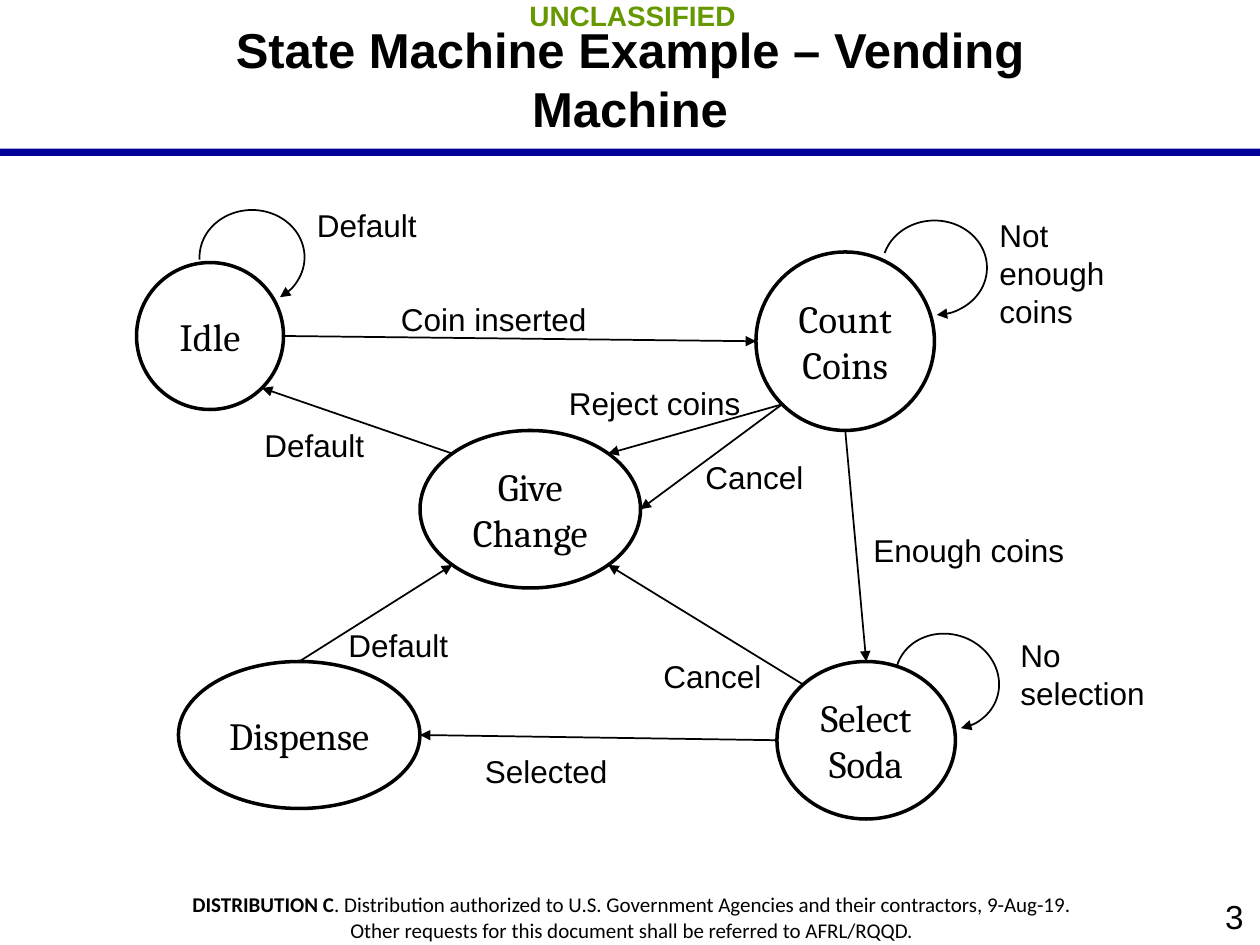
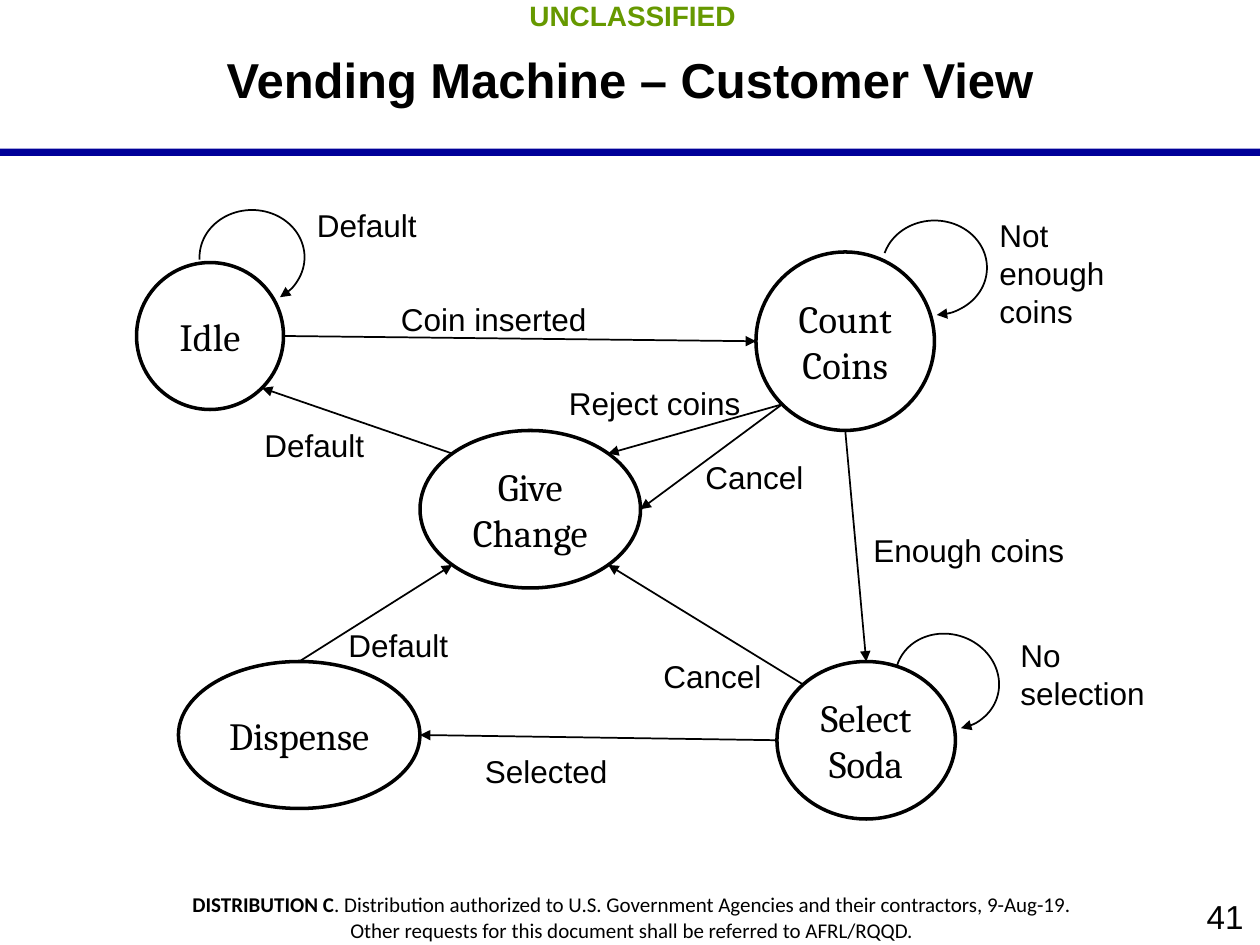
import math

from lxml import etree
from pptx import Presentation
from pptx.dml.color import RGBColor
from pptx.enum.shapes import MSO_CONNECTOR, MSO_SHAPE
from pptx.enum.text import MSO_ANCHOR, PP_ALIGN
from pptx.oxml.ns import qn
from pptx.util import Inches, Pt

LEFT, CENTER, RIGHT = PP_ALIGN.LEFT, PP_ALIGN.CENTER, PP_ALIGN.RIGHT
TOP, MIDDLE = MSO_ANCHOR.TOP, MSO_ANCHOR.MIDDLE
COLORS = {"ink": "000000", "paper": "FFFFFF", "band": "000099", "marking": "669900"}
CELL = Inches(1) // 12  # the slide is a grid of 120 columns by 90 rows

SLIDES = [("State Machine Example – Vending Machine", "3"),
          ("Vending Machine – Customer View", "41")]

FOOTER = [
    [("DISTRIBUTION C", True),
     (". Distribution authorized to U.S. Government Agencies and their contractors, 9-Aug-19.", False)],
    [("Other requests for this document shall be referred to AFRL/RQQD.", False)],
]

# column, row, columns wide, rows high
STATES = {
    "Idle": (13, 25, 14, 14),
    "Count Coins": (72, 24, 17, 17),
    "Give Change": (40, 41, 21, 15),
    "Select Soda": (74, 63, 17, 15),
    "Dispense": (17, 63, 23, 14),
}

# degrees clockwise from the right-hand side of a state's outline
E, SE, S, SW, W, NW, N, NE = range(0, 360, 45)
TRANSITIONS = [
    ("Idle", E, "Count Coins", W),
    ("Count Coins", SW, "Give Change", NE),
    ("Count Coins", SW, "Give Change", E),
    ("Count Coins", S, "Select Soda", N),
    ("Select Soda", W, "Dispense", E),
    ("Dispense", N, "Give Change", SW),
    ("Give Change", NW, "Idle", SE),
    ("Select Soda", NW, "Give Change", SE),
]

# column, row, rotation, start and end of the arc
SELF_LOOPS = [
    (19, 20, 0, 106.42, 33.03),
    (84, 21, 0, 117.85, 52.3),
    (85.2, 60.4, 18.4, 106.42, 33.03),
]

# text, column, row, columns wide, lines
LABELS = [
    ("Coin inserted", 37, 28, 22, 1),
    ("Not enough coins", 94, 20, 16, 3),
    ("No selection", 96, 60, 17, 2),
    ("Reject coins", 53, 36, 19, 1),
    ("Cancel", 62, 62, 12, 1),
    ("Enough coins", 82, 50, 22, 1),
    ("Selected", 45, 71, 22, 1),
    ("Default", 29, 19, 13, 1),
    ("Default", 24, 40, 13, 1),
    ("Cancel", 66, 43, 12, 1),
    ("Default", 32, 59, 13, 1),
]


def write(sp, paragraphs, size, font="Arial", color="ink", align=LEFT,
          anchor=TOP, insets=(0.1, 0.05)):
    """Fill a shape with paragraphs, each a list of (text, bold) runs."""
    tf = sp.text_frame
    tf.word_wrap = True
    tf.vertical_anchor = anchor
    tf.margin_left = tf.margin_right = Inches(insets[0])
    tf.margin_top = tf.margin_bottom = Inches(insets[1])
    for i, runs in enumerate(paragraphs):
        p = tf.add_paragraph() if i else tf.paragraphs[0]
        p.alignment = align
        for text, bold in runs:
            r = p.add_run()
            r.text = text
            r.font.name = font
            r.font.size = Pt(size)
            r.font.bold = bold
            r.font.color.rgb = RGBColor.from_string(COLORS[color])


def draw_arrow(sp):
    """Give a connector or arc a thin line with a triangle at its end."""
    sp.line.width = Pt(1)
    sp.line.color.rgb = RGBColor.from_string(COLORS["ink"])
    sp_pr = sp.element.spPr
    etree.SubElement(sp_pr.find(qn("a:ln")), qn("a:tailEnd"), type="triangle")
    etree.SubElement(sp_pr, qn("a:effectLst"))


prs = Presentation()
prs.slide_width, prs.slide_height = 120 * CELL, 90 * CELL

for title, number in SLIDES:
    s = prs.slides.add_slide(prs.slide_layouts[6])

    # Band, marking, footer, number and title
    sp = s.shapes.add_shape(MSO_SHAPE.RECTANGLE, 0, int(14.15 * CELL), 120 * CELL, int(0.7 * CELL))
    sp.shadow.inherit = False
    sp.fill.solid()
    sp.fill.fore_color.rgb = RGBColor.from_string(COLORS["band"])
    sp.line.fill.background()

    for box, paragraphs, size, font, color, align, anchor in [
        ((96, 84.6, 24, 5.4), [[(number, False)]], 19, "Arial", "ink", RIGHT, MIDDLE),
        ((0.25, -1, 120, 4.8), [[("UNCLASSIFIED", True)]], 16, "Arial", "marking", CENTER, TOP),
        ((0.1, 84.1, 120.2, 6.5), FOOTER, 12, "Calibri", "ink", CENTER, TOP),
        ((16.5, 0, 87, 15), [[(title, True)]], 28, "Arial", "ink", CENTER, MIDDLE),
    ]:
        sp = s.shapes.add_textbox(*[int(v * CELL) for v in box])
        write(sp, paragraphs, size, font, color, align, anchor, (0.13, 0.07))

    # States
    for name, box in STATES.items():
        sp = s.shapes.add_shape(MSO_SHAPE.OVAL, *[v * CELL for v in box])
        sp.shadow.inherit = False
        sp.fill.solid()
        sp.fill.fore_color.rgb = RGBColor.from_string(COLORS["paper"])
        sp.line.color.rgb = RGBColor.from_string(COLORS["ink"])
        sp.line.width = Pt(2)
        write(sp, [[(name, False)]], 22, "Cambria", align=CENTER, anchor=MIDDLE)

    # Transitions between states
    for source, source_side, target, target_side in TRANSITIONS:
        ends = []
        for name, side in ((source, source_side), (target, target_side)):
            x, y, w, h = STATES[name]
            angle = math.radians(side)
            ends += [int((x + w / 2 * (1 + math.cos(angle))) * CELL),
                     int((y + h / 2 * (1 + math.sin(angle))) * CELL)]
        draw_arrow(s.shapes.add_connector(MSO_CONNECTOR.STRAIGHT, *ends))

    # Transitions from a state to itself
    for x, y, rotation, start, end in SELF_LOOPS:
        sp = s.shapes.add_shape(MSO_SHAPE.ARC, int(x * CELL), int(y * CELL), 10 * CELL, 9 * CELL)
        sp.rotation = rotation
        sp.adjustments[0], sp.adjustments[1] = start, end
        sp.fill.background()
        draw_arrow(sp)

    for text, x, y, w, lines in LABELS:
        sp = s.shapes.add_textbox(x * CELL, y * CELL, w * CELL, int((1.2 + 3.6 * lines) * CELL))
        write(sp, [[(text, False)]], 18)

prs.save("out.pptx")
